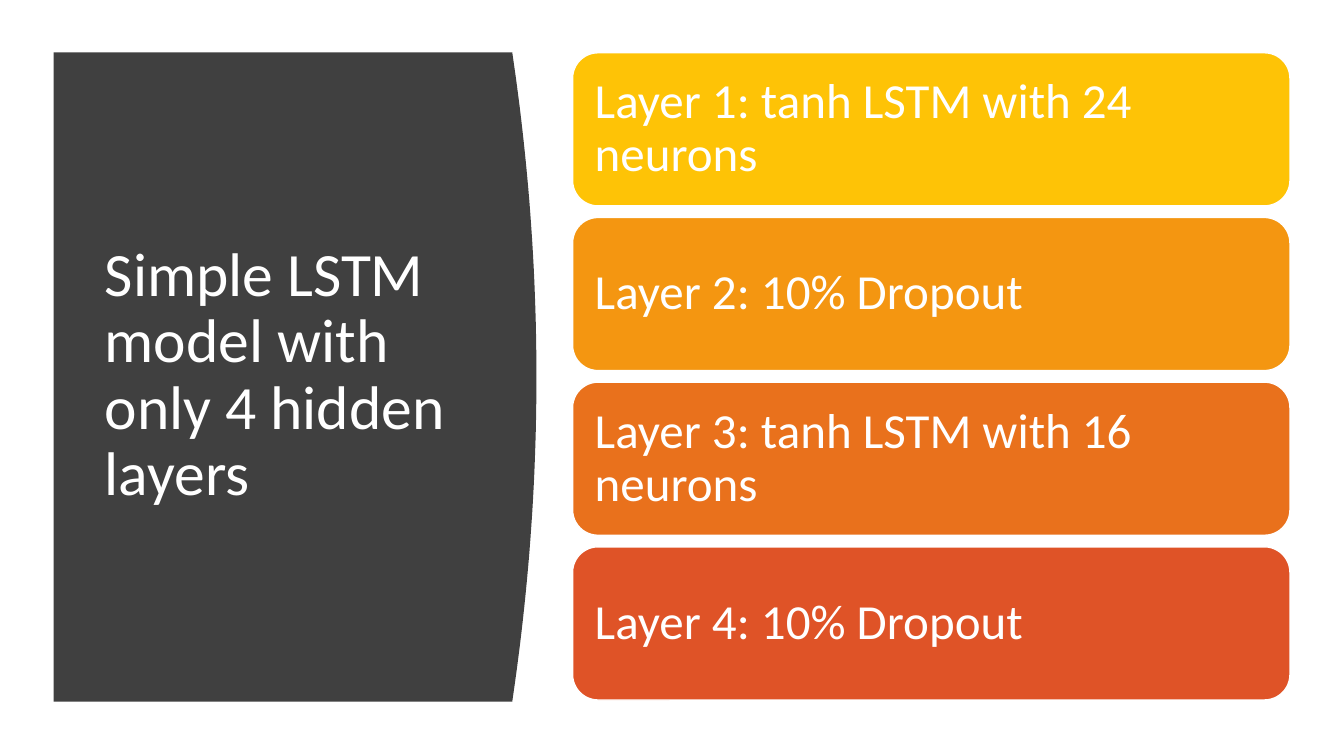
from pptx import Presentation
from pptx import util as u
from pptx.dml.color import RGBColor
from pptx.enum import shapes, text

LAYERS = [
    ("Layer 1: tanh LSTM with 24 neurons", "FEC306"),
    ("Layer 2: 10% Dropout", "F49611"),
    ("Layer 3: tanh LSTM with 16 neurons", "E9711C"),
    ("Layer 4: 10% Dropout", "DF5327"),
]


def paint(fmt, color):
    """Give a fill a solid colour from a hex string."""
    fmt.solid()
    fmt.fore_color.rgb = RGBColor.from_string(color)


def write(sp, content, size, margin=0.25, color="FFFFFF", font="Calibri"):
    """Write one left-aligned, vertically centred paragraph into a shape."""
    tf = sp.text_frame
    tf.word_wrap = True
    tf.auto_size = text.MSO_AUTO_SIZE.NONE
    tf.vertical_anchor = text.MSO_ANCHOR.MIDDLE
    tf.margin_left = tf.margin_right = u.Cm(margin)
    tf.margin_top = tf.margin_bottom = u.Cm(margin)
    p = tf.paragraphs[0]
    p.alignment = text.PP_ALIGN.LEFT
    p.line_spacing = 0.9
    r = p.add_run()
    r.text = content
    r.font.size = u.Pt(size)
    r.font.name = font
    paint(r.font.fill, color)


def title_panel(slide, x, y, w, h, title, bulge=0.61, steps=48):
    """Draw the dark panel with a bowed right side and the title on it."""
    side = []
    for i in range(steps + 1):
        t = 2 * i / steps - 1
        side.append((u.Cm(x + w - bulge * t * t), u.Cm(y + h * i / steps)))
    builder = slide.shapes.build_freeform(u.Cm(x), u.Cm(y), scale=1.0)
    builder.add_line_segments(side + [(u.Cm(x), u.Cm(y + h))], close=True)
    panel = builder.convert_to_shape()
    panel.shadow.inherit = False
    paint(panel.fill, "404040")
    panel.line.fill.background()

    sp = slide.shapes.title
    sp.left, sp.top = u.Cm(x + 1.04), u.Cm(y + 1.5)
    sp.width, sp.height = u.Cm(w - 2.67), u.Cm(h - 3.05)
    write(sp, title, 44)
    panel._element.addnext(sp._element)


def layer_stack(slide, x, y, w, h, layers, gap=0.29):
    """Stack one rounded bar per layer, equally spaced within the box."""
    bar = (h - gap * (len(layers) - 1)) / len(layers)
    for i, (label, color) in enumerate(layers):
        sp = slide.shapes.add_shape(
            shapes.MSO_SHAPE.ROUNDED_RECTANGLE,
            u.Cm(x), u.Cm(y + i * (bar + gap)), u.Cm(w), u.Cm(bar))
        sp.shadow.inherit = False
        paint(sp.fill, color)
        paint(sp.line.fill, "FFFFFF")
        sp.line.width = u.Pt(1)
        write(sp, label, 35, margin=0.37)


def main():
    """Build the slide and save it."""
    prs = Presentation()
    prs.slide_width, prs.slide_height = u.Cm(33.87), u.Cm(19.05)
    slide = prs.slides.add_slide(prs.slide_layouts[5])
    title_panel(slide, 1.35, 1.32, 12.17, 16.36,
                "Simple LSTM model with only 4 hidden layers")
    layer_stack(slide, 14.43, 1.33, 18.08, 16.31, LAYERS)
    prs.save("out.pptx")


if __name__ == "__main__":
    main()
